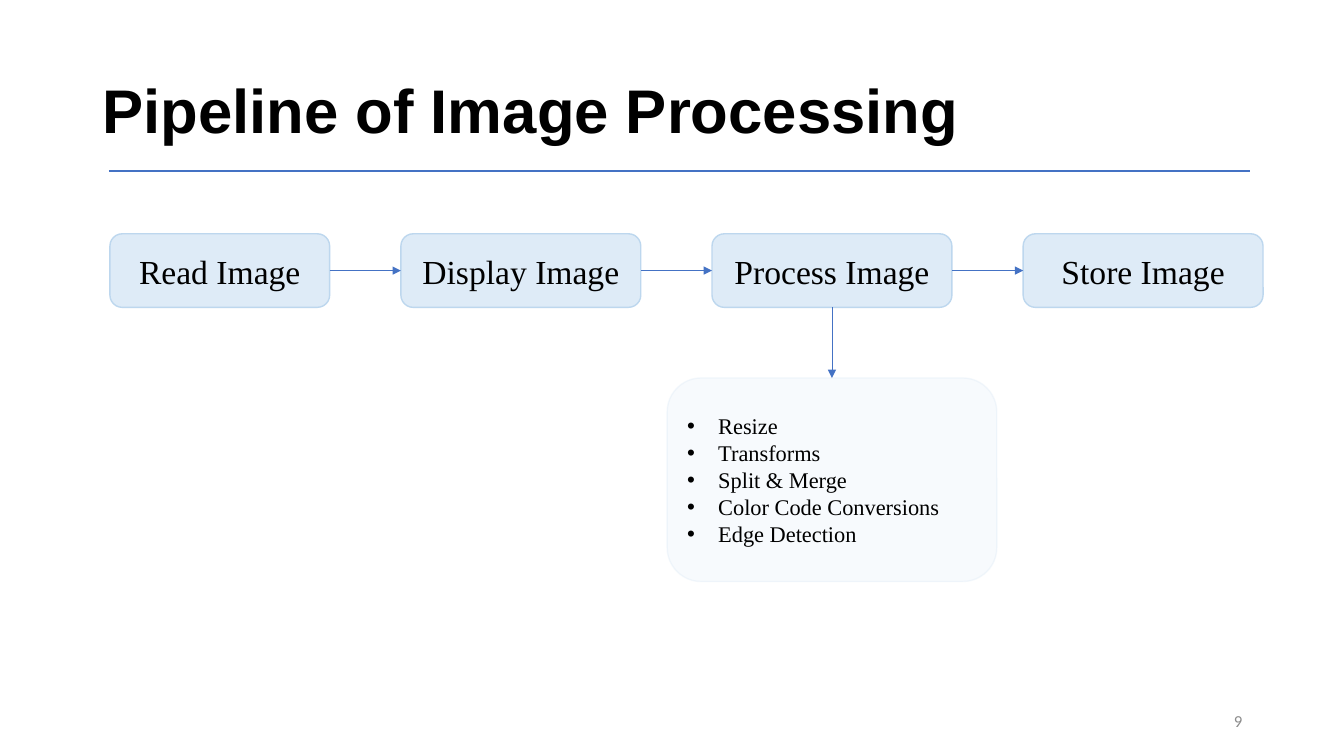
from dataclasses import dataclass

from lxml.etree import SubElement
from pptx import Presentation
from pptx.dml.color import RGBColor
from pptx.enum.shapes import MSO_CONNECTOR, MSO_SHAPE
from pptx.enum.text import MSO_ANCHOR, PP_ALIGN
from pptx.oxml.ns import qn
from pptx.util import Inches, Pt


@dataclass(frozen=True)
class Theme:
    ink: str = "000000"
    muted: str = "8C8C8C"
    accent: str = "4472C4"
    box_fill: str = "DEEBF7"
    box_line: str = "BDD7EE"
    heading_font: str = "Arial"
    body_font: str = "Times New Roman"
    number_font: str = "Calibri"
    heading_size: int = 44
    stage_size: int = 24
    list_size: int = 16
    number_size: int = 12


THEME = Theme()
SLIDE_WIDTH, SLIDE_HEIGHT = Inches(13.33), Inches(7.5)

# Positions and sizes are percentages of the slide's width and height.
STAGES = [("Read Image", 16.35), ("Display Image", 17.85),
          ("Process Image", 17.85), ("Store Image", 17.85)]
STAGE_LEFT, STAGE_TOP, STAGE_HEIGHT, STAGE_GAP = 8.18, 30.93, 9.73, 5.3
OPERATIONS = ["Resize", "Transforms", "Split & Merge",
              "Color Code Conversions", "Edge Detection"]
OPERATIONS_TOP, OPERATIONS_WIDTH, OPERATIONS_HEIGHT = 50, 24.53, 26.93
TOP, LEFT, BOTTOM, RIGHT = range(4)


def across(percent):
    return round(SLIDE_WIDTH * percent / 100)


def down(percent):
    return round(SLIDE_HEIGHT * percent / 100)


def area(left, top, width, height):
    return across(left), down(top), across(width), down(height)


def add_run(paragraph, text, font, size, color=THEME.ink, bold=False):
    run = paragraph.add_run()
    run.text = text
    run.font.name, run.font.size, run.font.bold = font, Pt(size), bold
    run.font.color.rgb = RGBColor.from_string(color)


def set_alpha(color_format_owner, percent):
    """Make the solid fill of a shape or line partly transparent."""
    color = next(color_format_owner.iter(qn("a:srgbClr")))
    SubElement(color, qn("a:alpha")).set("val", str(percent * 1000))


def add_box(slide, left, top, width, height):
    box = slide.shapes.add_shape(MSO_SHAPE.ROUNDED_RECTANGLE,
                                 *area(left, top, width, height))
    box.shadow.inherit = False
    box.fill.solid()
    box.fill.fore_color.rgb = RGBColor.from_string(THEME.box_fill)
    box.line.color.rgb = RGBColor.from_string(THEME.box_line)
    box.line.width = Pt(1)
    box.text_frame.word_wrap = True
    box.text_frame.vertical_anchor = MSO_ANCHOR.MIDDLE
    return box


def add_line(slide, weight, start=(0, 0), end=(0, 0)):
    line = slide.shapes.add_connector(MSO_CONNECTOR.STRAIGHT, *start, *end)
    line.line.color.rgb = RGBColor.from_string(THEME.accent)
    line.line.width = Pt(weight)
    SubElement(line._element.spPr, qn("a:effectLst"))
    return line


def add_arrow(slide, source, source_side, target, target_side, weight=1):
    arrow = add_line(slide, weight)
    arrow.begin_connect(source, source_side)
    arrow.end_connect(target, target_side)
    SubElement(arrow.line._get_or_add_ln(), qn("a:tailEnd")).set("type", "triangle")


def add_heading(slide, text):
    heading = slide.shapes.title
    heading.left, heading.top, heading.width, heading.height = area(
        6.9, 5.33, 86.27, 19.33)
    heading.text_frame.vertical_anchor = MSO_ANCHOR.MIDDLE
    paragraph = heading.text_frame.paragraphs[0]
    paragraph.alignment = PP_ALIGN.LEFT
    paragraph.line_spacing = 0.9
    add_run(paragraph, text, THEME.heading_font, THEME.heading_size, bold=True)
    add_line(slide, 1.5, (across(8.1), down(22.67)), (across(93.02), down(22.67)))


def add_stages(slide):
    """Draw the row of stages and return their boxes by label."""
    boxes = {}
    left = STAGE_LEFT
    for label, width in STAGES:
        box = add_box(slide, left, STAGE_TOP, width, STAGE_HEIGHT)
        paragraph = box.text_frame.paragraphs[0]
        paragraph.alignment = PP_ALIGN.CENTER
        add_run(paragraph, label, THEME.body_font, THEME.stage_size)
        boxes[label] = box
        left += width + STAGE_GAP
    row = list(boxes.values())
    for source, target in zip(row, row[1:]):
        add_arrow(slide, source, RIGHT, target, LEFT)
    return boxes


def add_bullet(paragraph):
    properties = paragraph._p.get_or_add_pPr()
    indent = Inches(0.31)
    properties.set("marL", str(indent))
    properties.set("indent", str(-indent))
    SubElement(properties, qn("a:buFont")).set("typeface", THEME.heading_font)
    SubElement(properties, qn("a:buChar")).set("char", "•")


def add_operations(slide, stage):
    """Hang the list of operations centred below its stage."""
    center = (stage.left + stage.width / 2) / SLIDE_WIDTH * 100
    box = add_box(slide, center - OPERATIONS_WIDTH / 2, OPERATIONS_TOP,
                  OPERATIONS_WIDTH, OPERATIONS_HEIGHT)
    set_alpha(box.fill._xPr.find(qn("a:solidFill")), 24)
    set_alpha(box.line._get_or_add_ln(), 17)
    frame = box.text_frame
    for index, operation in enumerate(OPERATIONS):
        paragraph = frame.add_paragraph() if index else frame.paragraphs[0]
        paragraph.alignment = PP_ALIGN.LEFT
        add_bullet(paragraph)
        add_run(paragraph, operation, THEME.body_font, THEME.list_size)
    add_arrow(slide, stage, BOTTOM, box, TOP, weight=0.5)


def add_page_number(slide, number):
    frame = slide.shapes.add_textbox(*area(70.67, 92.67, 22.5, 5.33)).text_frame
    frame.word_wrap = True
    frame.vertical_anchor = MSO_ANCHOR.MIDDLE
    paragraph = frame.paragraphs[0]
    paragraph.alignment = PP_ALIGN.RIGHT
    add_run(paragraph, number, THEME.number_font, THEME.number_size, THEME.muted)


def main():
    presentation = Presentation()
    presentation.slide_width, presentation.slide_height = SLIDE_WIDTH, SLIDE_HEIGHT
    slide = presentation.slides.add_slide(
        presentation.slide_layouts.get_by_name("Title Only"))
    add_heading(slide, "Pipeline of Image Processing")
    stages = add_stages(slide)
    add_operations(slide, stages["Process Image"])
    add_page_number(slide, "9")
    presentation.save("out.pptx")


if __name__ == "__main__":
    main()
